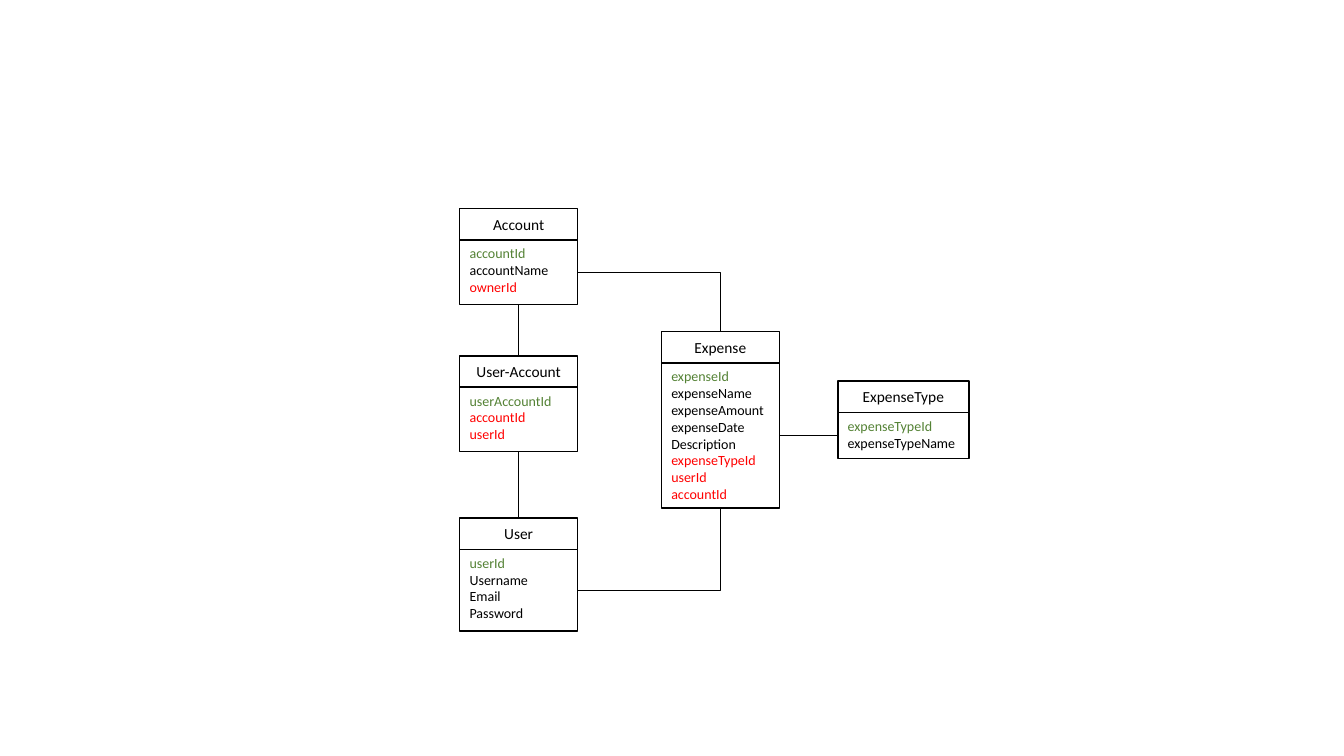
from lxml.etree import SubElement
from pptx import Presentation
from pptx.dml.color import RGBColor
from pptx.enum.shapes import MSO_CONNECTOR as Link, MSO_SHAPE as Kind
from pptx.enum.text import MSO_ANCHOR as Anchor, PP_ALIGN as Align
from pptx.oxml.ns import qn
from pptx.util import Inches, Pt

BLACK, WHITE = "000000", "FFFFFF"
KEY, REF = "548235", "FF0000"
TOP, LEFT, BOTTOM, RIGHT = range(4)
HEAD = 0.31


def paint(code):
    return RGBColor.from_string(code)


def write(para, text, size=10, color=BLACK, align=Align.LEFT, font="Calibri"):
    para.alignment = align
    run = para.add_run()
    run.text = text
    run.font.name = font
    run.font.size = Pt(size)
    run.font.color.rgb = paint(color)


class Diagram:
    """Entity boxes and the links between them, on one slide."""

    def __init__(self, slide):
        self.shapes = slide.shapes

    def rect(self, group, x, y, w, h, anchor):
        box = group.shapes.add_shape(Kind.RECTANGLE, *map(Inches, (x, y, w, h)))
        box.shadow.inherit = False
        box.fill.solid()
        box.fill.fore_color.rgb = paint(WHITE)
        box.line.color.rgb = paint(BLACK)
        box.line.width = Pt(1)
        box.text_frame.word_wrap = True
        box.text_frame.vertical_anchor = anchor
        return box

    def entity(self, name, x, y, w, h, fields):
        """Draw a title box over a field box of height h; return both."""
        group = self.shapes.add_group_shape()
        head = self.rect(group, x, y, w, HEAD, Anchor.MIDDLE)
        write(head.text_frame.paragraphs[0], name, size=11, align=Align.CENTER)
        body = self.rect(group, x, y + HEAD, w, h, Anchor.TOP)
        frame = body.text_frame
        for i, (field, color) in enumerate(fields):
            para = frame.add_paragraph() if i else frame.paragraphs[0]
            write(para, field, color=color)
        return head, body

    def link(self, start, side, end, goal, bent=False):
        """Join two box sides, with a single corner if bent."""
        line = self.shapes.add_connector(
            Link.ELBOW if bent else Link.STRAIGHT, 0, 0, 0, 0)
        line.begin_connect(start, side)
        line.end_connect(end, goal)
        line.line.color.rgb = paint(BLACK)
        line.line.width = Pt(0.5)
        props = line._element.spPr
        if bent:
            props.find(qn("a:prstGeom")).set("prst", "bentConnector2")
        SubElement(props, qn("a:effectLst"))


def main():
    deck = Presentation()
    deck.slide_width, deck.slide_height = Inches(13.33), Inches(7.5)
    art = Diagram(deck.slides.add_slide(deck.slide_layouts[6]))

    user, user_body = art.entity("User", 4.56, 5.14, 1.17, 0.81, [
        ("userId", KEY), ("Username", BLACK), ("Email", BLACK),
        ("Password", BLACK)])
    _, account = art.entity("Account", 4.56, 2.07, 1.17, 0.64, [
        ("accountId", KEY), ("accountName", BLACK), ("ownerId", REF)])
    member, member_body = art.entity("User-Account", 4.56, 3.53, 1.17, 0.64, [
        ("userAccountId", KEY), ("accountId", REF), ("userId", REF)])
    expense, expense_body = art.entity("Expense", 6.56, 3.29, 1.17, 1.44, [
        ("expenseId", KEY), ("expenseName", BLACK), ("expenseAmount", BLACK),
        ("expenseDate", BLACK), ("Description", BLACK),
        ("expenseTypeId", REF), ("userId", REF), ("accountId", REF)])
    _, sort = art.entity("ExpenseType", 8.31, 3.78, 1.3, 0.46, [
        ("expenseTypeId", KEY), ("expenseTypeName", BLACK)])

    art.link(account, BOTTOM, member, TOP)
    art.link(member_body, BOTTOM, user, TOP)
    art.link(user_body, RIGHT, expense_body, BOTTOM, bent=True)
    art.link(account, RIGHT, expense, TOP, bent=True)
    art.link(expense_body, RIGHT, sort, LEFT)
    deck.save("out.pptx")


if __name__ == "__main__":
    main()
